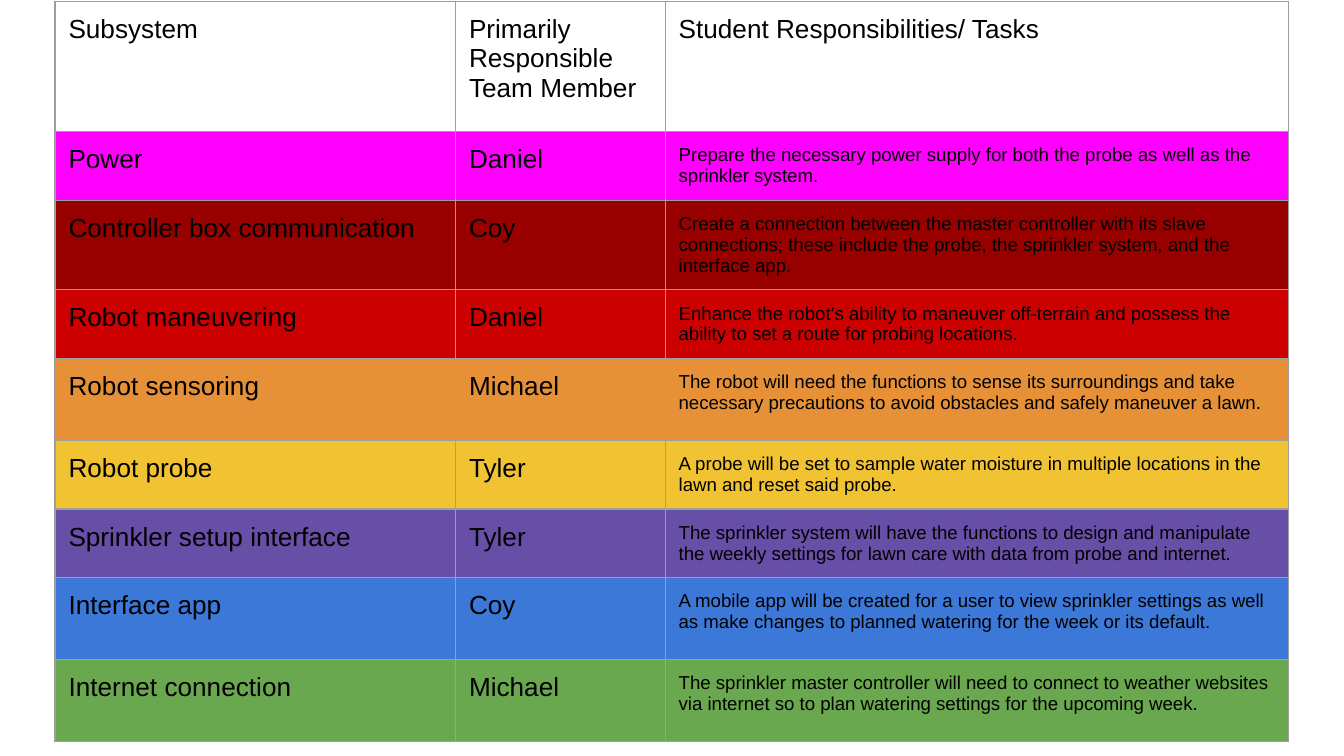
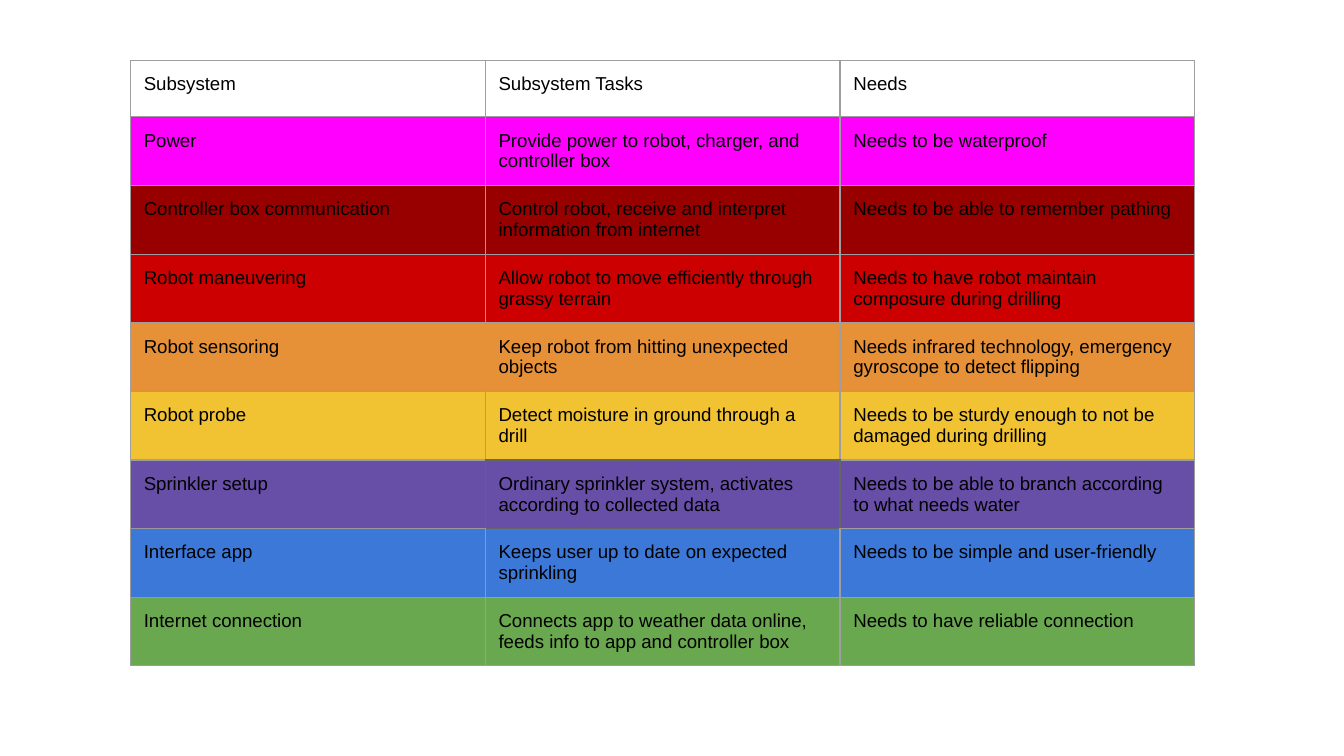
from lxml import etree
from pptx import Presentation
from pptx.dml.color import RGBColor
from pptx.oxml.ns import qn
from pptx.util import Inches, Pt

BLACK = RGBColor(0x00, 0x00, 0x00)
GREY = RGBColor(0x9E, 0x9E, 0x9E)
MID_GREY = RGBColor(0x99, 0x99, 0x99)
DARK_GREY = RGBColor(0x66, 0x66, 0x66)

# One fill per subsystem, in row order; the header row has none
ROW_FILLS = [
    None,
    RGBColor(0xFF, 0x00, 0xFF),
    RGBColor(0x98, 0x00, 0x00),
    RGBColor(0xCC, 0x00, 0x00),
    RGBColor(0xE6, 0x91, 0x38),
    RGBColor(0xF1, 0xC2, 0x32),
    RGBColor(0x67, 0x4E, 0xA7),
    RGBColor(0x3C, 0x78, 0xD8),
    RGBColor(0x6A, 0xA8, 0x4F),
]

FONT = "Arial"
LARGE, SMALL = Pt(14), Pt(10)
BORDER_WIDTH = Pt(0.75)
MARGIN = Inches(0.1)
FRAME = Inches(3.28)

# Border tag: (row step, column step) to the neighbour, and its facing border
SIDES = {
    "a:lnL": (0, -1, "a:lnR"),
    "a:lnR": (0, 1, "a:lnL"),
    "a:lnT": (-1, 0, "a:lnB"),
    "a:lnB": (1, 0, "a:lnT"),
}

RESPONSIBILITIES = [
    ("Subsystem", "Primarily Responsible Team Member",
     "Student Responsibilities/ Tasks"),
    ("Power", "Daniel",
     "Prepare the necessary power supply for both the probe as well as the "
     "sprinkler system."),
    ("Controller box communication", "Coy",
     "Create a connection between the master controller with its slave "
     "connections; these include the probe, the sprinkler system, and the "
     "interface app."),
    ("Robot maneuvering", "Daniel",
     "Enhance the robot’s ability to maneuver off-terrain and possess the "
     "ability to set a route for probing locations."),
    ("Robot sensoring", "Michael",
     "The robot will need the functions to sense its surroundings and take "
     "necessary precautions to avoid obstacles and safely maneuver a lawn."),
    ("Robot probe", "Tyler",
     "A probe will be set to sample water moisture in multiple locations in "
     "the lawn and reset said probe."),
    ("Sprinkler setup interface", "Tyler",
     "The sprinkler system will have the functions to design and manipulate "
     "the weekly settings for lawn care with data from probe and internet."),
    ("Interface app", "Coy",
     "A mobile app will be created for a user to view sprinkler settings as "
     "well as make changes to planned watering for the week or its default."),
    ("Internet connection", "Michael",
     "The sprinkler master controller will need to connect to weather "
     "websites via internet so to plan watering settings for the upcoming "
     "week."),
]

NEEDS = [
    ("Subsystem", "Subsystem Tasks", "Needs"),
    ("Power", "Provide power to robot, charger, and controller box",
     "Needs to be waterproof"),
    ("Controller box communication",
     "Control robot, receive and interpret information from internet",
     "Needs to be able to remember pathing"),
    ("Robot maneuvering",
     "Allow robot to move efficiently through grassy terrain",
     "Needs to have robot maintain composure during drilling"),
    ("Robot sensoring", "Keep robot from hitting unexpected objects",
     "Needs infrared technology, emergency gyroscope to detect flipping"),
    ("Robot probe", "Detect moisture in ground through a drill",
     "Needs to be sturdy enough to not be damaged during drilling"),
    ("Sprinkler setup",
     "Ordinary sprinkler system, activates according to collected data",
     "Needs to be able to branch according to what needs water"),
    ("Interface app", "Keeps user up to date on expected sprinkling",
     "Needs to be simple and user-friendly"),
    ("Internet connection",
     "Connects app to weather data online, feeds info to app and controller "
     "box",
     "Needs to have reliable connection"),
]


def border_color(row, col, side, outlined):
    """An outlined cell also colours the facing borders of its neighbours."""
    d_row, d_col, _ = SIDES[side]
    neighbour = outlined.get((row + d_row, col + d_col), GREY)
    return outlined.get((row, col), neighbour)


def add_border(cell, side, color):
    tc_pr = cell._tc.get_or_add_tcPr()
    ln = etree.SubElement(tc_pr, qn(side), w=str(BORDER_WIDTH))
    fill = etree.SubElement(ln, qn("a:solidFill"))
    etree.SubElement(fill, qn("a:srgbClr"), val=str(color))


def fill_cell(cell, text, size, color):
    cell.margin_left = cell.margin_right = MARGIN
    cell.margin_top = cell.margin_bottom = MARGIN
    if color is None:
        cell.fill.background()
    else:
        cell.fill.solid()
        cell.fill.fore_color.rgb = color
    p = cell.text_frame.paragraphs[0]
    p.text = text
    p.font.name = FONT
    p.font.size = size
    p.font.color.rgb = BLACK


def add_subsystem_table(prs, left, top, widths, heights, rows, size_of,
                        outlined):
    s = prs.slides.add_slide(prs.slide_layouts[6])
    frame = s.shapes.add_table(len(rows), len(widths), Inches(left),
                               Inches(top), FRAME, FRAME)
    table = frame.table
    table.first_row = table.horz_banding = False
    for column, width in zip(table.columns, widths):
        column.width = Inches(width)
    for row, height in zip(table.rows, heights):
        row.height = Inches(height)
    frame.width = frame.height = FRAME  # rows and columns set the drawn size

    for i, texts in enumerate(rows):
        for j, text in enumerate(texts):
            cell = table.cell(i, j)
            for side in SIDES:
                add_border(cell, side, border_color(i, j, side, outlined))
            fill_cell(cell, text, size_of(i, j), ROW_FILLS[i])


def main():
    prs = Presentation()
    prs.slide_width, prs.slide_height = Inches(10), Inches(5.625)

    # Who is responsible: task descriptions are set smaller
    add_subsystem_table(
        prs, 0.41, 0.01, [2.98, 1.56, 4.64],
        [0.97, 0.46, 0.61, 0.46, 0.61, 0.46, 0.46, 0.61, 0.61],
        RESPONSIBILITIES,
        lambda row, col: SMALL if row > 0 and col == 2 else LARGE, {})

    # Tasks and needs: two cells have darker outlines
    add_subsystem_table(
        prs, 0.97, 0.45, [2.64] * 3, [0.42] * len(NEEDS), NEEDS,
        lambda row, col: SMALL, {(6, 1): DARK_GREY, (7, 0): MID_GREY})

    prs.save("out.pptx")


if __name__ == "__main__":
    main()
